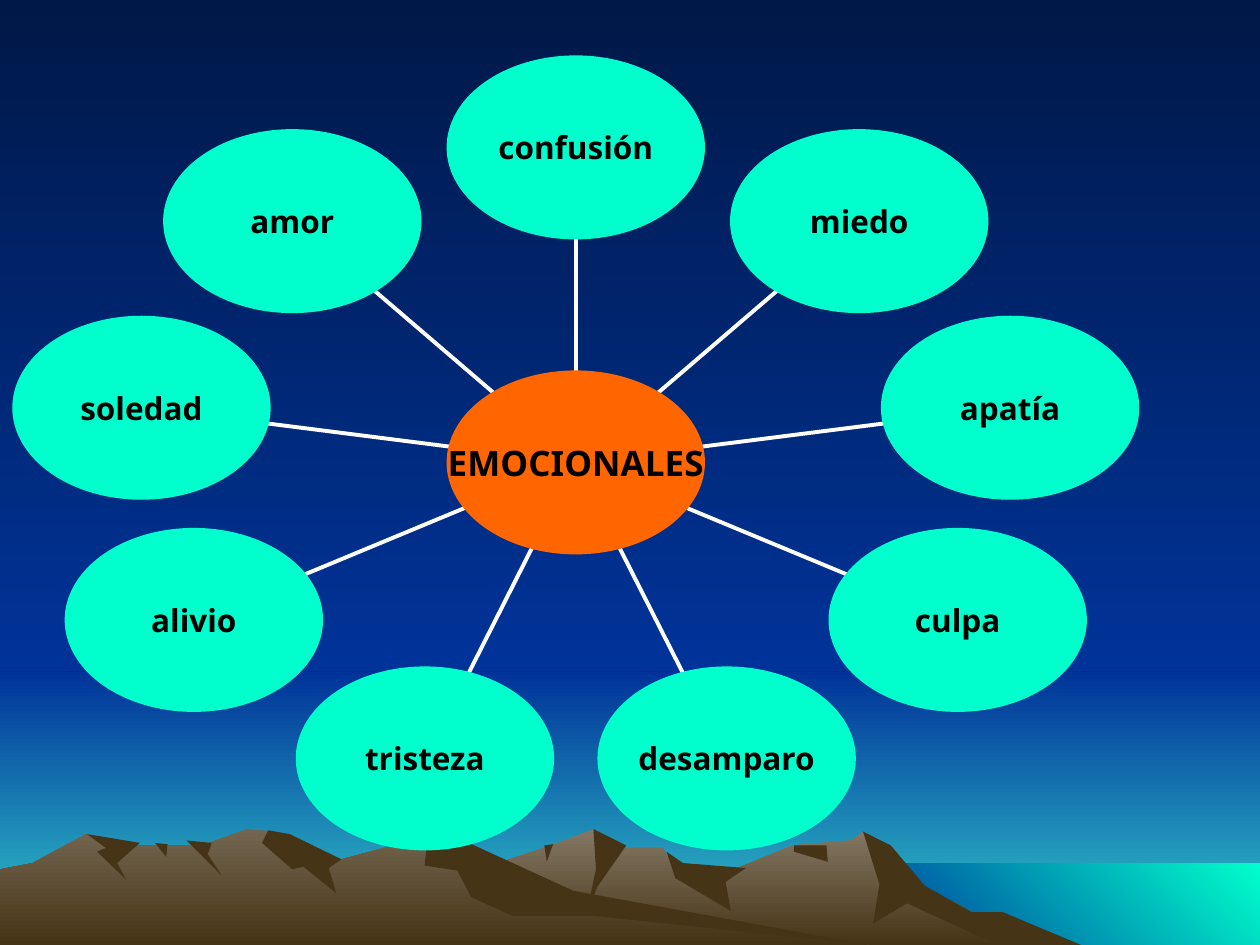
import math

import pptx
import pptx.dml.color
import pptx.enum.shapes
import pptx.enum.text
import pptx.oxml
import pptx.util
from pptx.util import Inches

FONT = "Noto Sans"
NIGHT, BLUE, AQUA, MINT = "001847", "003399", "33CCCC", "00FFCC"
ROCK, FAR_ROCK, NEAR_ROCK = "463416", "847864", "73654F"
ORANGE, WHITE, BLACK = "FF6600", "FFFFFF", "000000"

CENTER_X, CENTER_Y = 4.57, 3.67
ORBIT_X, ORBIT_Y = 3.5, 2.5
OVAL_W, OVAL_H = 2.04, 1.45
EMOTIONS = ["confusión", "miedo", "apatía", "culpa", "desamparo",
            "tristeza", "alivio", "soledad", "amor"]

FAR_RANGE = [(2.58, 7.5), (3.55, 6.98), (4.38, 6.71), (4.71, 6.58), (4.86, 6.73),
             (5.26, 6.73), (5.36, 6.9), (5.66, 6.97), (6.29, 6.71), (6.76, 6.67),
             (6.85, 6.6), (7.23, 6.98), (8.2, 7.5)]
FAR_SHADOWS = [
    [(6.85, 6.6), (7.07, 6.71), (7.34, 7.03), (7.71, 7.24), (7.96, 7.24), (8.58, 7.5),
     (7.92, 7.5), (7.2, 7.17), (6.93, 7.33), (6.98, 7.02)],
    [(4.71, 6.58), (4.97, 6.71), (4.74, 7.04), (4.65, 7.27), (4.73, 6.9)],
    [(5.29, 6.76), (5.42, 6.85), (5.92, 6.89), (5.76, 7), (5.8, 7.23), (5.36, 6.97)],
    [(6.3, 6.71), (6.56, 6.71), (6.57, 6.84), (6.3, 6.76)],
    [(4.32, 6.71), (4.39, 6.7), (4.34, 6.84)],
]
NEAR_RANGE = [(0, 7.5), (0, 6.9), (0.26, 6.85), (0.68, 6.62), (0.94, 6.71), (1.6, 6.71),
              (1.96, 6.58), (2.19, 6.6), (2.36, 6.81), (2.71, 6.82), (3.23, 6.68),
              (3.54, 6.65), (4.32, 7.12), (6.9, 7.5)]
NEAR_SHADOWS = [
    [(2.13, 6.59), (2.3, 6.62), (2.71, 6.82), (2.61, 6.89), (2.67, 7.09), (2.41, 6.88),
     (2.32, 6.9), (2.08, 6.69)],
    [(3.39, 6.69), (3.7, 6.68), (4.55, 7.07), (6.9, 7.5), (4.72, 7.27), (4.07, 7.27),
     (3.74, 7.12), (3.63, 6.91), (3.37, 6.87)],
    [(1.48, 6.67), (1.68, 6.69), (1.65, 6.78), (1.76, 6.95)],
    [(1.23, 6.69), (1.33, 6.7), (1.32, 6.8)],
    [(0.69, 6.62), (1.11, 6.69), (0.93, 6.85), (1, 6.98), (0.77, 6.76), (0.84, 6.73)],
]


def rgb(value):
    return pptx.dml.color.RGBColor.from_string(value)


def paint(fill, start, end=None, angle=270):
    """Solid fill, or a gradient whose angle runs counter-clockwise."""
    if end is None:
        fill.solid()
        fill.fore_color.rgb = rgb(start)
        return
    fill.gradient()
    fill.gradient_angle = angle
    for stop, color in zip(fill.gradient_stops, (start, end)):
        stop.color.rgb = rgb(color)


def add_band(slide, left, top, width, height, *colors, angle=270):
    sp = slide.shapes.add_shape(pptx.enum.shapes.MSO_SHAPE.RECTANGLE, Inches(left),
                                Inches(top), Inches(width), Inches(height))
    sp.shadow.inherit = False
    sp.line.fill.background()
    paint(sp.fill, *colors, angle=angle)


def add_outline(slide, points, *colors):
    start, *rest = [(Inches(x), Inches(y)) for x, y in points]
    builder = slide.shapes.build_freeform(*start)
    builder.add_line_segments(rest, close=True)
    sp = builder.convert_to_shape()
    sp.shadow.inherit = False
    sp.line.fill.background()
    paint(sp.fill, *colors)


def add_range(slide, ridge, shadows, top_color):
    add_outline(slide, ridge, top_color, ROCK)
    for shadow in shadows:
        add_outline(slide, shadow, ROCK)


def add_oval(slide, x, y, text, color, size):
    """Labelled oval centred on (x, y)."""
    sp = slide.shapes.add_shape(
        pptx.enum.shapes.MSO_SHAPE.OVAL, Inches(x - OVAL_W / 2), Inches(y - OVAL_H / 2),
        Inches(OVAL_W), Inches(OVAL_H))
    sp.shadow.inherit = False
    paint(sp.fill, color)
    sp.line.color.rgb = rgb(color)
    sp.line.width = pptx.util.Pt(0.75)
    tf = sp.text_frame
    tf.margin_left = tf.margin_right = tf.margin_top = tf.margin_bottom = 0
    tf.word_wrap = False
    tf.vertical_anchor = pptx.enum.text.MSO_ANCHOR.MIDDLE
    tf.text = text
    p = tf.paragraphs[0]
    p.alignment = pptx.enum.text.PP_ALIGN.CENTER
    font = p.runs[0].font
    font.name, font.size, font.bold = FONT, pptx.util.Pt(size), True
    font.color.rgb = rgb(BLACK)


def add_spoke(slide, x1, y1, x2, y2):
    spoke = slide.shapes.add_connector(pptx.enum.shapes.MSO_CONNECTOR.STRAIGHT,
                                       Inches(x1), Inches(y1), Inches(x2), Inches(y2))
    spoke.line.color.rgb = rgb(WHITE)
    spoke.line.width = pptx.util.Pt(2.25)
    spoke._element.spPr.append(pptx.oxml.parse_xml(
        '<a:effectLst xmlns:a="http://schemas.openxmlformats.org/drawingml/2006/main"/>'))


def add_landscape(slide):
    paint(slide.background.fill, NIGHT, BLUE)
    add_band(slide, 0, 5.33, 10, 2.17, BLUE, AQUA)
    add_band(slide, 0, 0, 10, 5.33, NIGHT, BLUE)
    add_band(slide, 6.83, 6.85, 3.17, 0.65, BLUE, MINT, angle=45)
    add_range(slide, FAR_RANGE, FAR_SHADOWS, FAR_ROCK)
    add_range(slide, NEAR_RANGE, NEAR_SHADOWS, NEAR_ROCK)


def add_wheel(slide):
    """Emotions spaced evenly clockwise from the top around the hub."""
    for i, emotion in enumerate(EMOTIONS):
        angle = 2 * math.pi * i / len(EMOTIONS)
        dx, dy = math.sin(angle), -math.cos(angle)
        x, y = CENTER_X + ORBIT_X * dx, CENTER_Y + ORBIT_Y * dy
        edge_x, edge_y = OVAL_W / 2 * dx, OVAL_H / 2 * dy
        add_spoke(slide, CENTER_X + edge_x, CENTER_Y + edge_y, x - edge_x, y - edge_y)
        add_oval(slide, x, y, emotion, MINT, 18)
    add_oval(slide, CENTER_X, CENTER_Y, "EMOCIONALES", ORANGE, 20)


def main():
    prs = pptx.Presentation()
    prs.slide_width, prs.slide_height = Inches(10), Inches(7.5)
    slide = prs.slides.add_slide(prs.slide_layouts[6])
    add_landscape(slide)
    add_wheel(slide)
    prs.save("out.pptx")


if __name__ == "__main__":
    main()
